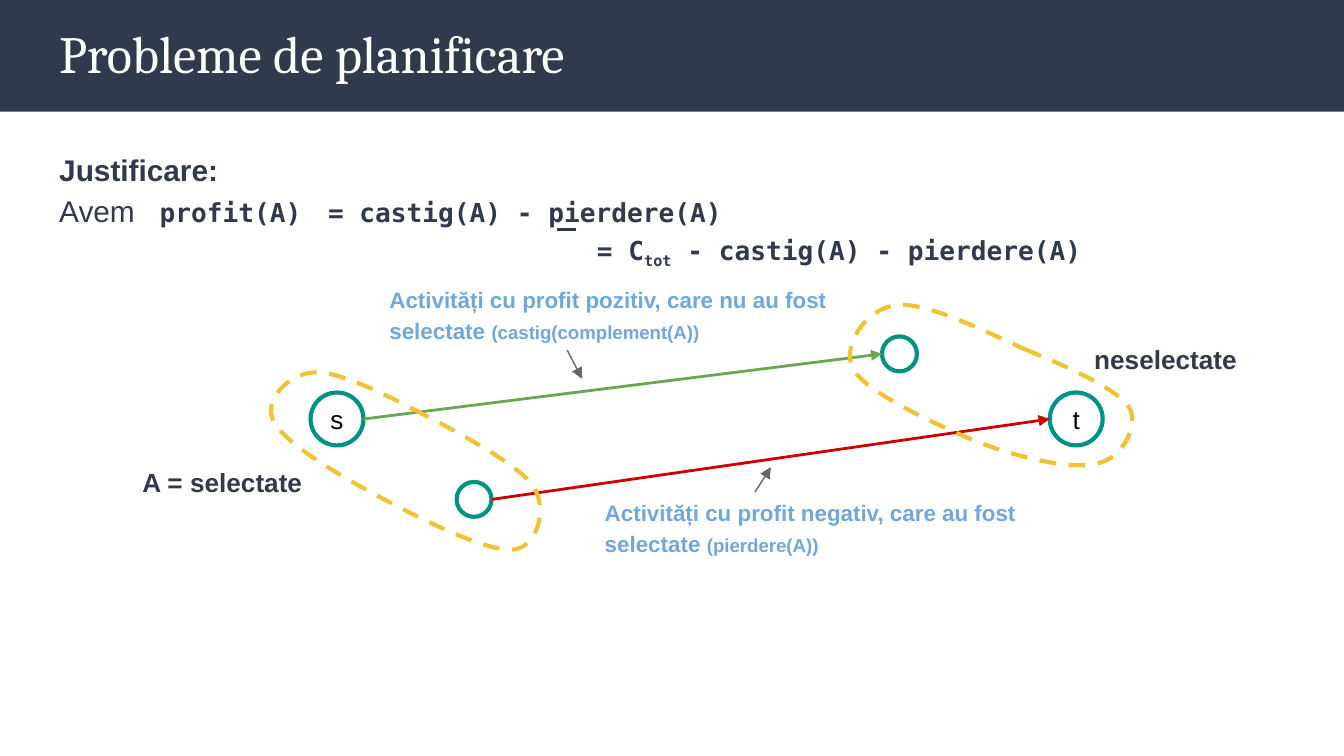
from dataclasses import dataclass

from lxml import etree
from pptx import Presentation
from pptx.dml.color import RGBColor
from pptx.enum.dml import MSO_LINE
from pptx.enum.shapes import MSO_CONNECTOR, MSO_SHAPE
from pptx.enum.text import MSO_ANCHOR, PP_ALIGN
from pptx.oxml.ns import qn
from pptx.util import Cm, Pt


@dataclass(frozen=True)
class Theme:
    navy: RGBColor = RGBColor.from_string("31394D")
    white: RGBColor = RGBColor.from_string("FFFFFF")
    black: RGBColor = RGBColor.from_string("000000")
    teal: RGBColor = RGBColor.from_string("009384")
    yellow: RGBColor = RGBColor.from_string("F1C232")
    green: RGBColor = RGBColor.from_string("6AA84F")
    red: RGBColor = RGBColor.from_string("CC0000")
    blue: RGBColor = RGBColor.from_string("6FA8DC")
    grey: RGBColor = RGBColor.from_string("666666")
    sans: str = "Arial"
    serif: str = "Cambria"
    mono: str = "DejaVu Sans Mono"
    title: Pt = Pt(28)
    body: Pt = Pt(16)
    label: Pt = Pt(14)
    note: Pt = Pt(12)
    detail: Pt = Pt(10)


theme = Theme()

presentation = Presentation()
presentation.slide_width, presentation.slide_height = Cm(25.4), Cm(14.29)
slide = presentation.slides.add_slide(presentation.slide_layouts[6])
shapes = slide.shapes


def add_text_box(left, top, width, height, font_name, size, color, bold=True, tabs=()):
    frame = shapes.add_textbox(Cm(left), Cm(top), Cm(width), Cm(height)).text_frame
    frame.word_wrap = True
    frame.margin_left = frame.margin_right = Cm(0.25)
    frame.margin_top = frame.margin_bottom = Cm(0.25)
    paragraph = frame.paragraphs[0]
    paragraph.line_spacing = 1.15
    if tabs:
        tab_list = etree.SubElement(paragraph._p.get_or_add_pPr(), qn("a:tabLst"))
        for position in tabs:
            etree.SubElement(tab_list, qn("a:tab"), pos=str(Cm(position)), algn="l")
    font = paragraph.font
    font.name, font.size, font.bold = font_name, size, bold
    font.color.rgb = color
    return paragraph


def add_line(start, end, color, width, arrow=True):
    line = shapes.add_connector(MSO_CONNECTOR.STRAIGHT, *map(Cm, start + end))
    line.line.color.rgb = color
    line.line.width = Pt(width)
    if arrow:
        etree.SubElement(line.line._get_or_add_ln(), qn("a:tailEnd"), type="triangle")
    etree.SubElement(line._element.spPr, qn("a:effectLst"))


header = shapes.add_shape(MSO_SHAPE.RECTANGLE, 0, 0, presentation.slide_width, Cm(2.11))
header.shadow.inherit = False
header.fill.solid()
header.fill.fore_color.rgb = theme.navy
header.line.fill.background()

title = add_text_box(0.87, 0.16, 23.67, 1.74, theme.serif, theme.title, theme.white, bold=False)
title.line_spacing = 1
title.add_run().text = "Probleme de planificare"

formula = add_text_box(0.87, 2.52, 23.67, 10.44, theme.mono, theme.label, theme.navy,
                       tabs=(1.9, 5.08, 10.16))
heading = formula.add_run()
heading.text = "Justificare:"
formula.add_line_break()
lead = formula.add_run()
lead.text = "Avem"
lead.font.bold = False
for run in (heading, lead):
    run.font.name, run.font.size = theme.sans, theme.body
formula.add_run().text = "\tprofit(A)\t= castig(A) - pierdere(A)"
formula.add_line_break()
formula.add_run().text = "\t\t\t= C"
subscript = formula.add_run()
subscript.text = "tot"
subscript._r.get_or_add_rPr().set("baseline", "-25000")
formula.add_run().text = " - castig(A) - pierdere(A)"

source, sink = (6.37, 7.92), (20.34, 7.92)
selected, unselected = (8.96, 9.44), (17, 6.69)
large, small = 0.5, 0.33
for (x, y), radius, letter in (
    (sink, large, "t"),
    (source, large, "s"),
    (selected, small, ""),
    (unselected, small, ""),
):
    node = shapes.add_shape(MSO_SHAPE.OVAL, Cm(x - radius), Cm(y - radius),
                            Cm(2 * radius), Cm(2 * radius))
    node.shadow.inherit = False
    node.fill.background()
    node.line.color.rgb = theme.teal
    node.line.width = Pt(2.25)
    if letter:
        frame = node.text_frame
        frame.margin_left = frame.margin_right = Cm(0.05)
        frame.margin_top = frame.margin_bottom = Cm(0.05)
        frame.vertical_anchor = MSO_ANCHOR.MIDDLE
        paragraph = frame.paragraphs[0]
        paragraph.alignment = PP_ALIGN.CENTER
        paragraph.add_run().text = letter
        paragraph.font.name, paragraph.font.size = theme.sans, theme.label
        paragraph.font.color.rgb = theme.black

for start, start_radius, end, end_radius, color in (
    (source, large, unselected, small, theme.green),
    (selected, small, sink, large, theme.red),
):
    add_line((start[0] + start_radius, start[1]), (end[0] - end_radius, end[1]), color, 1.5)

selected_curve = [
    (8.03, 7.85), (7.32, 7.47), (6.4, 7.01), (5.94, 7.04), (5.46, 7.06), (4.95, 7.57),
    (5.18, 7.98), (5.41, 8.41), (6.58, 9.09), (7.32, 9.47), (8.08, 9.88), (9.25, 10.44),
    (9.7, 10.39), (10.16, 10.34), (10.36, 9.63), (10.08, 9.19), (9.8, 8.79), (8.71, 8.2),
]
unselected_curve = [
    (19.43, 6.63), (18.69, 6.3), (17.5, 5.69), (16.94, 5.77), (16.38, 5.82), (15.88, 6.55),
    (16.13, 6.99), (16.38, 7.42), (17.73, 8.05), (18.49, 8.36), (19.28, 8.66), (20.27, 8.89),
    (20.75, 8.76), (21.21, 8.66), (21.54, 8.05), (21.34, 7.7), (21.11, 7.35), (20.17, 6.93),
]
for left, top, width, height, curve in (
    (5.13, 7.04, 5.08, 3.35, selected_curve),
    (16.05, 5.77, 5.33, 3.05, unselected_curve),
):
    builder = shapes.build_freeform(Cm(left), Cm(top))
    builder.add_line_segments([(Cm(left + width), Cm(top + height))], close=True)
    outline = builder.convert_to_shape()
    outline.shadow.inherit = False
    outline.fill.background()
    outline.line.color.rgb = theme.yellow
    outline.line.width = Pt(2.25)
    outline.line.dash_style = MSO_LINE.DASH

    drawing = next(outline._element.iter(qn("a:path")))
    for command in list(drawing):
        drawing.remove(command)
    closed = curve[1:] + curve[:1]
    commands = [("a:moveTo", curve[:1])]
    commands += [("a:cubicBezTo", closed[i:i + 3]) for i in range(0, len(closed), 3)]
    for tag, points in commands:
        command = etree.SubElement(drawing, qn(tag))
        for x, y in points:
            etree.SubElement(command, qn("a:pt"), x=str(Cm(x - left)), y=str(Cm(y - top)))
    etree.SubElement(drawing, qn("a:close"))

for left, top, width, text in (
    (20.43, 6.15, 3.43, "neselectate"),
    (2.44, 8.48, 3.63, "A = selectate"),
):
    label = add_text_box(left, top, width, 1.12, theme.sans, theme.label, theme.navy)
    label.add_run().text = text

for left, top, text, detail in (
    (11.18, 9.11, "Activități cu profit negativ, care au fost selectate ", "(pierdere(A))"),
    (7.11, 5.08, "Activități cu profit pozitiv, care nu au fost selectate ", "(castig(complement(A))"),
):
    note = add_text_box(left, top, 8.79, 1.63, theme.sans, theme.note, theme.blue)
    note.add_run().text = text
    detail_run = note.add_run()
    detail_run.text = detail
    detail_run.font.size = theme.detail

add_line((10.72, 6.62), (11, 7.16), theme.grey, 0.75)
add_line((14.27, 9.3), (14.57, 8.83), theme.grey, 0.75)
add_line((10.53, 4.34), (10.89, 4.34), theme.navy, 1.5, arrow=False)

presentation.save("out.pptx")
